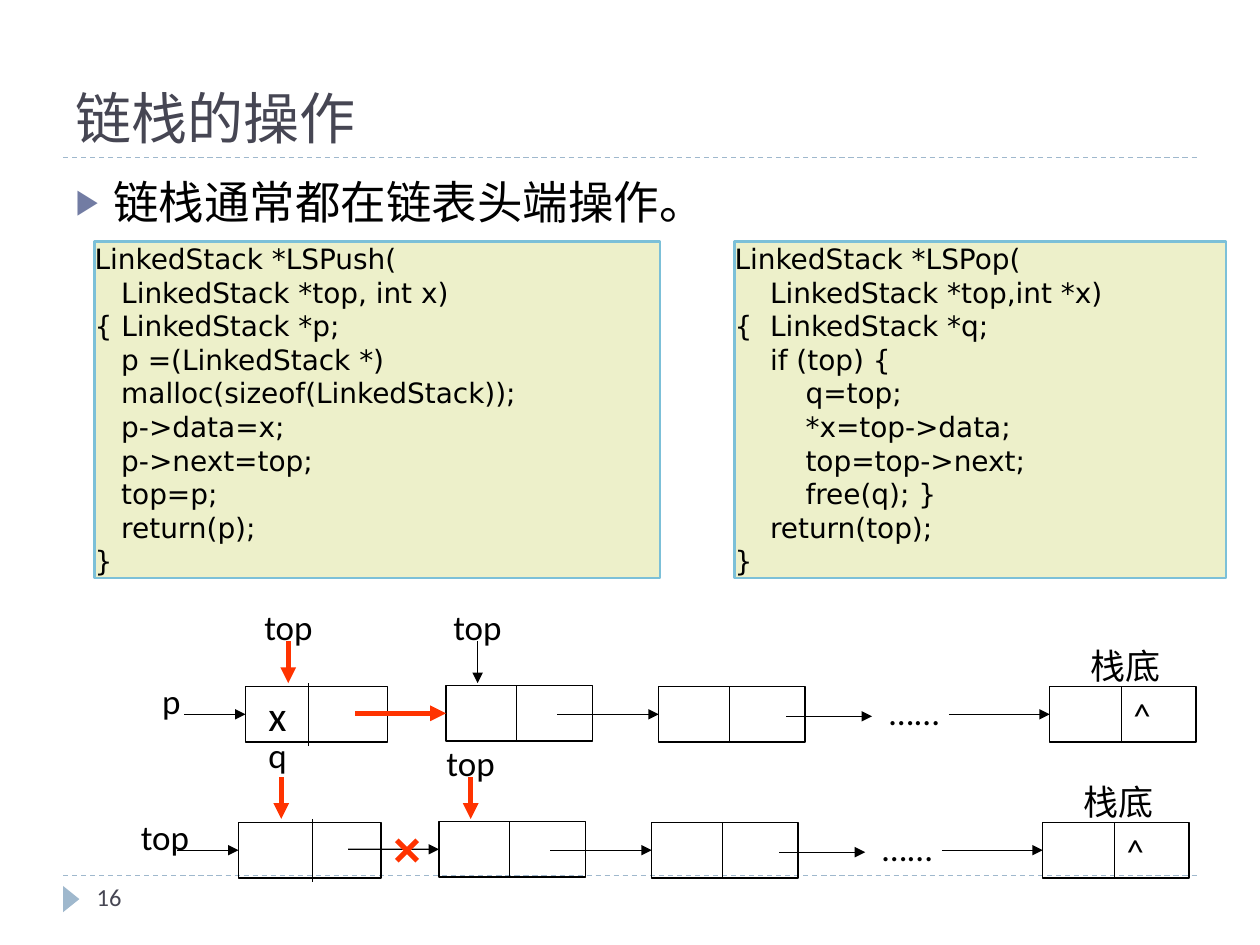
from lxml import etree
from pptx import Presentation
from pptx.dml.color import RGBColor
from pptx.enum.dml import MSO_LINE
from pptx.enum.shapes import MSO_CONNECTOR, MSO_SHAPE
from pptx.enum.text import MSO_ANCHOR, PP_ALIGN
from pptx.oxml.ns import qn
from pptx.util import Cm, Pt

BLACK = RGBColor(0x00, 0x00, 0x00)
SLATE = RGBColor(0x46, 0x46, 0x53)
PALE_BLUE = RGBColor(0x9F, 0xB8, 0xCD)
RED = RGBColor(0xFF, 0x33, 0x00)
CODE_FILL = RGBColor(0xED, 0xF0, 0xCA)
CODE_LINE = RGBColor(0x7C, 0xC0, 0xD8)
BULLET = RGBColor(0x72, 0x7C, 0xA3)

STRAIGHT = MSO_CONNECTOR.STRAIGHT
RECT = MSO_SHAPE.RECTANGLE
TRIANGLE = MSO_SHAPE.ISOSCELES_TRIANGLE
DASH = MSO_LINE.DASH
LEFT = PP_ALIGN.LEFT
TOP, MIDDLE, BOTTOM = MSO_ANCHOR.TOP, MSO_ANCHOR.MIDDLE, MSO_ANCHOR.BOTTOM
LEFT_SIDE = 1

BODY_FONT = "Calibri"
CODE_FONT = "DejaVu Sans"
TITLE_FONT = "Noto Sans CJK SC"
NODE_W, NODE_H = 2.95, 1.12

PUSH_CODE = """LinkedStack *LSPush(
   LinkedStack *top, int x)
{ LinkedStack *p;
   p =(LinkedStack *)
   malloc(sizeof(LinkedStack));
   p->data=x;
   p->next=top;
   top=p;
   return(p);
}"""

POP_CODE = """LinkedStack *LSPop(
    LinkedStack *top,int *x)
{  LinkedStack *q;
    if (top) {
        q=top;
        *x=top->data;
        top=top->next;
        free(q); }
    return(top);
}"""


def add_run(p, text, size, font=BODY_FONT, color=BLACK):
    p.alignment = LEFT
    r = p.add_run()
    r.text = text
    r.font.size = Pt(size)
    r.font.color.rgb = color
    r.font.name = font
    etree.SubElement(r._r.get_or_add_rPr(), qn("a:ea"), typeface=font)


def place(sp, x, y, w, h):
    sp.left, sp.top, sp.width, sp.height = Cm(x), Cm(y), Cm(w), Cm(h)


def add_title(s, text):
    sp = s.shapes.title
    place(sp, 1.27, 0.43, 22.86, 2.74)
    sp.text_frame.vertical_anchor = BOTTOM
    add_run(sp.text_frame.paragraphs[0], text, 32, TITLE_FONT, SLATE)


def add_bullet(s, text):
    sp = s.placeholders[1]
    place(sp, 1.27, 3.38, 22.86, 13.72)
    p = sp.text_frame.paragraphs[0]
    pPr = p._p.get_or_add_pPr()
    pPr.set("marL", str(Cm(0.76)))
    pPr.set("indent", str(-Cm(0.76)))
    clr = etree.SubElement(pPr, qn("a:buClr"))
    etree.SubElement(clr, qn("a:srgbClr"), val=str(BULLET))
    etree.SubElement(pPr, qn("a:buSzPct"), val="76000")
    etree.SubElement(pPr, qn("a:buChar"), char="▶")
    p.space_before = Pt(0)
    add_run(p, text, 26)


def add_label(s, text, x, y, w, size=20, h=NODE_H, color=BLACK, anchor=MIDDLE):
    tf = s.shapes.add_textbox(Cm(x), Cm(y), Cm(w), Cm(h)).text_frame
    tf.word_wrap = False
    tf.vertical_anchor = anchor
    add_run(tf.paragraphs[0], text, size, color=color)


def add_box(s, x, y, w, h, line=BLACK, width=0.75, fill=None):
    sp = s.shapes.add_shape(RECT, Cm(x), Cm(y), Cm(w), Cm(h))
    sp.shadow.inherit = False
    if fill is None:
        sp.fill.background()
    else:
        sp.fill.solid()
        sp.fill.fore_color.rgb = fill
    sp.line.color.rgb = line
    sp.line.width = Pt(width)
    return sp


def add_code(s, code, x, w):
    sp = add_box(s, x, 4.87, w, 6.78, CODE_LINE, 1.5, CODE_FILL)
    tf = sp.text_frame
    tf.word_wrap = True
    tf.vertical_anchor = TOP
    tf.margin_left = tf.margin_right = tf.margin_top = tf.margin_bottom = 0
    for i, text in enumerate(code.split("\n")):
        p = tf.add_paragraph() if i else tf.paragraphs[0]
        p.line_spacing = Pt(19.2)
        add_run(p, text, 16, CODE_FONT)


def add_line(s, x1, y1, x2, y2, color=BLACK, width=0.75):
    c = s.shapes.add_connector(STRAIGHT, Cm(x1), Cm(y1), Cm(x2), Cm(y2))
    c.line.color.rgb = color
    c.line.width = Pt(width)
    etree.SubElement(c._element.spPr, qn("a:effectLst"))
    return c


def add_arrow(s, x1, y1, x2, y2, color=BLACK, target=None):
    c = add_line(s, x1, y1, x2, y2, color, 3 if color == RED else 0.75)
    etree.SubElement(c.line._get_or_add_ln(), qn("a:tailEnd"), type="triangle")
    if target is not None:
        c.end_connect(target, LEFT_SIDE)


def add_node(s, x, y, divider, w=NODE_W, above=0, below=0):
    sp = add_box(s, x, y, w, NODE_H)
    add_line(s, x + divider, y - above, x + divider, y + NODE_H + below)
    return sp


def add_stack(s, x, y, divider, top_color, link_color):
    first = add_node(s, x, y, divider, 2.87, 0.07, 0.08)
    second = add_node(s, x + 4.04, y - 0.02, 1.42)
    third = add_node(s, x + 8.33, y, 1.43)
    last = add_node(s, x + 16.21, y, 1.45)

    tf = last.text_frame
    tf.margin_left = Cm(1.69)
    tf.vertical_anchor = MIDDLE
    add_run(tf.paragraphs[0], "^", 20)

    mid = y + NODE_H / 2
    add_arrow(s, x - 1.24, mid, x, mid, target=first)
    add_arrow(s, x + 2.21, mid - 0.02, x + 4.04, mid - 0.02, link_color, second)
    add_arrow(s, x + 6.28, mid, x + 8.33, mid, target=third)
    add_arrow(s, x + 10.9, mid + 0.04, x + 12.63, mid + 0.04)
    add_arrow(s, x + 14.18, mid, x + 16.21, mid, target=last)
    add_arrow(s, x + 0.86, y - 0.91, x + 0.86, y - 0.07, RED)
    add_arrow(s, x + 4.68, y - 0.91, x + 4.68, y - 0.07, top_color)

    add_label(s, "…...", x + 12.73, y - 0.05, 1.63)
    add_label(s, "栈底", x + 16.79, y - 0.99, 2.1)
    add_label(s, "top", x + 3.94, y - 1.77, 1.63)


def add_cross(s, x, y, size):
    add_line(s, x, y, x + size, y + size, RED, 3)
    add_line(s, x + size, y, x, y + size, RED, 3)


def add_frame(s, number):
    for y in (3.18, 17.65):
        add_line(s, 1.27, y, 24.13, y, PALE_BLUE).line.dash_style = DASH
    sp = s.shapes.add_shape(TRIANGLE, Cm(1.17), Cm(17.96), Cm(0.53), Cm(0.33))
    sp.rotation = 90
    sp.shadow.inherit = False
    sp.fill.solid()
    sp.fill.fore_color.rgb = PALE_BLUE
    sp.line.fill.background()
    add_label(s, number, 1.7, 17.65, 5.51, 14, 1.02, SLATE, TOP)


def main():
    prs = Presentation()
    prs.slide_width, prs.slide_height = Cm(25.4), Cm(19.05)
    s = prs.slides.add_slide(prs.slide_layouts[1])
    add_frame(s, "16")
    add_title(s, "链栈的操作")
    add_bullet(s, "链栈通常都在链表头端操作。")
    add_code(s, PUSH_CODE, 1.91, 11.4)
    add_code(s, POP_CODE, 14.81, 9.91)

    add_stack(s, 4.95, 13.84, 1.27, BLACK, RED)
    add_label(s, "top", 5.08, 12.07, 1.63)
    add_label(s, "p", 3.02, 13.56, 0.94)
    add_label(s, "x", 5.16, 13.77, 0.94, 24, 1.27)

    add_stack(s, 4.81, 16.58, 1.49, RED, BLACK)
    add_label(s, "q", 5.16, 14.66, 0.94)
    add_label(s, "top", 2.59, 16.31, 1.63)
    add_cross(s, 8, 16.94, 0.41)
    prs.save("out.pptx")


if __name__ == "__main__":
    main()
